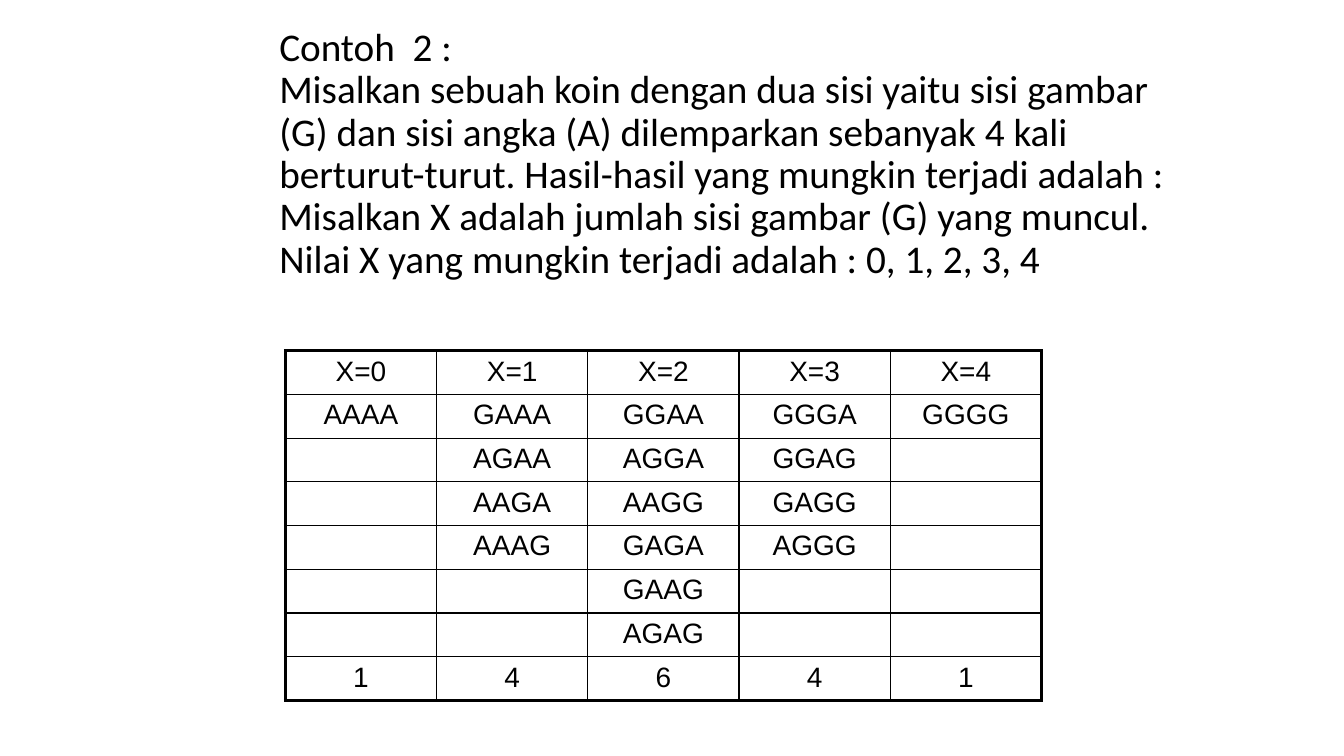
from dataclasses import dataclass
from itertools import zip_longest

from lxml import etree
from pptx import Presentation
from pptx import util as u
from pptx.dml.color import RGBColor
from pptx.enum import text
from pptx.oxml import ns


@dataclass(frozen=True)
class Theme:
    ink: str = "000000"
    title_font: str = "Calibri"
    table_font: str = "Arial"
    title_size: float = 28
    table_size: float = 20
    inner_line: float = 1
    outer_line: float = 2.25


THEME = Theme()

PROBLEM = [
    "Contoh  2 :",
    "Misalkan sebuah koin dengan dua sisi yaitu sisi gambar (G) dan sisi angka (A) "
    "dilemparkan sebanyak 4 kali berturut-turut. Hasil-hasil yang mungkin terjadi adalah :",
    "Misalkan X adalah jumlah sisi gambar (G) yang muncul.",
    "Nilai X yang mungkin terjadi adalah : 0, 1, 2, 3, 4",
]

OUTCOMES = [
    ["AAAA"],
    ["GAAA", "AGAA", "AAGA", "AAAG"],
    ["GGAA", "AGGA", "AAGG", "GAGA", "GAAG", "AGAG"],
    ["GGGA", "GGAG", "GAGG", "AGGG"],
    ["GGGG"],
]


def set_attrs(obj, values):
    for name, value in values.items():
        setattr(obj, name, value)


def write(p, content, font, size, align):
    p.alignment = align
    r = p.add_run()
    r.text = content
    set_attrs(r.font, {"name": font, "size": u.Pt(size)})
    r.font.color.rgb = RGBColor.from_string(THEME.ink)


def add_title(s, lines):
    sp = s.shapes.title
    set_attrs(sp, {"left": u.Inches(2.67), "top": u.Inches(0.25),
                   "width": u.Inches(9), "height": u.Inches(3)})
    tf = sp.text_frame
    set_attrs(tf, {"word_wrap": True, "auto_size": text.MSO_AUTO_SIZE.NONE,
                   "vertical_anchor": text.MSO_ANCHOR.MIDDLE,
                   "margin_bottom": u.Inches(0.48)})
    for i, line in enumerate(lines):
        p = tf.add_paragraph() if i else tf.paragraphs[0]
        set_attrs(p, {"line_spacing": 0.9, "space_before": u.Pt(0)})
        write(p, line, THEME.title_font, THEME.title_size, text.PP_ALIGN.LEFT)


def add_border(cell, side, width):
    tag = ns.qn(f"a:ln{side}")
    line = etree.SubElement(cell._tc.get_or_add_tcPr(), tag, w=str(u.Pt(width)))
    fill = etree.SubElement(line, ns.qn("a:solidFill"))
    etree.SubElement(fill, ns.qn("a:srgbClr"), val=THEME.ink)


def add_outcome_table(s, outcomes):
    columns = [[f"X={x}", *results] for x, results in enumerate(outcomes)]
    rows = list(zip_longest(*columns, fillvalue=""))
    rows.append([str(len(results)) for results in outcomes])
    last_row, last_col = len(rows) - 1, len(columns) - 1
    table = s.shapes.add_table(len(rows), len(columns), u.Inches(2.83), u.Inches(3.48),
                               u.Inches(7.5), u.Inches(3.47)).table
    set_attrs(table, {"first_row": False, "horz_banding": False})
    for i, row in enumerate(rows):
        for j, content in enumerate(row):
            cell = table.cell(i, j)
            outer = {"L": j == 0, "R": j == last_col, "T": i == 0, "B": i == last_row}
            for side, is_outer in outer.items():
                add_border(cell, side, THEME.outer_line if is_outer else THEME.inner_line)
            cell.fill.background()
            if content:
                write(cell.text_frame.paragraphs[0], content,
                      THEME.table_font, THEME.table_size, text.PP_ALIGN.CENTER)


def main():
    prs = Presentation()
    set_attrs(prs, {"slide_width": u.Inches(13.33), "slide_height": u.Inches(7.5)})
    s = prs.slides.add_slide(prs.slide_layouts.get_by_name("Title Only"))
    add_title(s, PROBLEM)
    add_outcome_table(s, OUTCOMES)
    prs.save("out.pptx")


if __name__ == "__main__":
    main()
